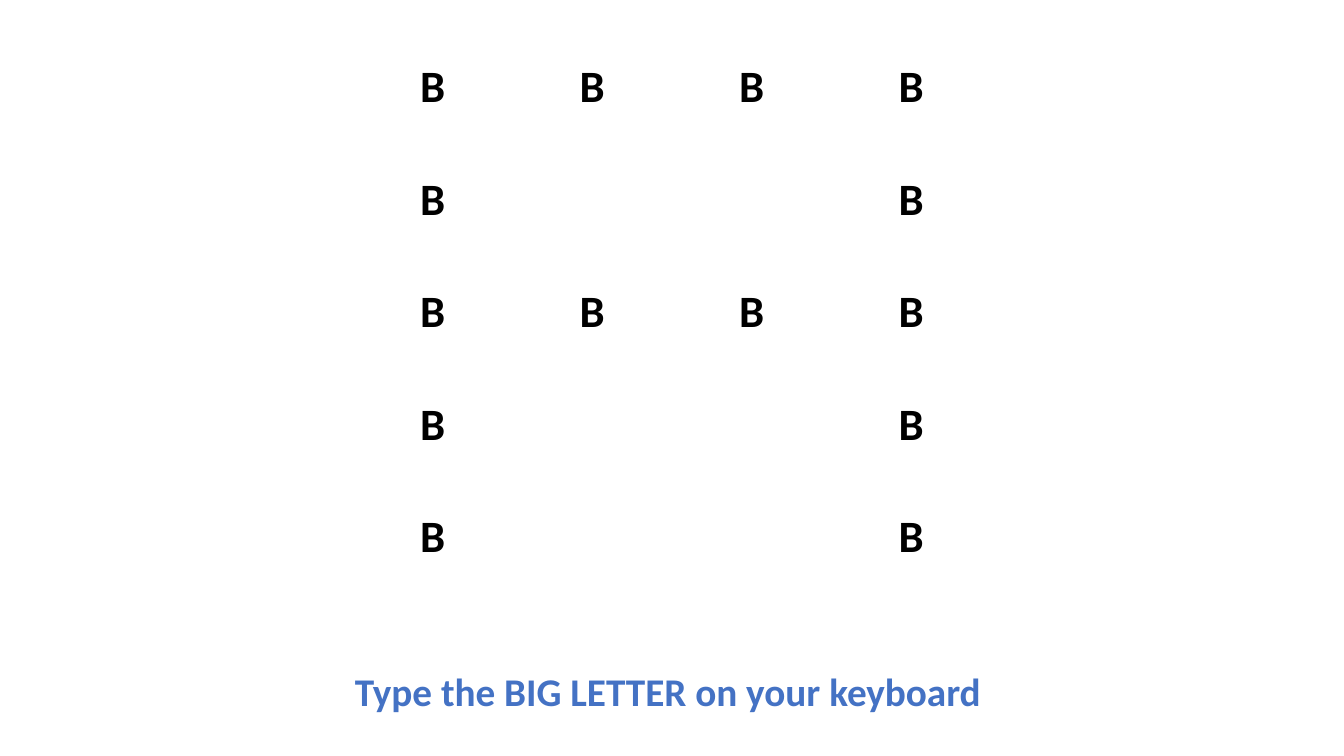
from pptx import Presentation
from pptx.dml.color import RGBColor
from pptx.enum.text import MSO_ANCHOR, MSO_AUTO_SIZE, PP_ALIGN
from pptx.util import Inches, Pt

TOP = MSO_ANCHOR.TOP
GROW = MSO_AUTO_SIZE.SHAPE_TO_FIT_TEXT
LEFT, CENTER = PP_ALIGN.LEFT, PP_ALIGN.CENTER
ROWS = ["BBBB", "B  B", "BBBB", "B  B", "B  B"]


def paint(code):
    return RGBColor.from_string(code)


class Page:
    """Hold the slide and its text style."""

    def __init__(self, deck):
        self.slide = deck.slides.add_slide(deck.slide_layouts[6])
        self.face = "Calibri"

    def letter(self, frame, text, size, color, align):
        para = frame.paragraphs[0]
        para.text = text
        para.alignment = align
        font = para.font
        font.name, font.size, font.bold = self.face, Pt(size), True
        font.color.rgb = paint(color)
        return para

    def grid(self, rows, x, y, wide, high):
        count = len(rows[0])
        table = self.slide.shapes.add_table(
            len(rows), count, Inches(x), Inches(y), Inches(wide), Inches(high)
        ).table
        table.first_row = table.horz_banding = False
        for r, row in enumerate(rows):
            for c, mark in enumerate(row):
                cell = table.cell(r, c)
                cell.fill.background()
                cell.vertical_anchor = TOP
                cell.margin_left = cell.margin_right = Inches(0.07)
                cell.margin_top = cell.margin_bottom = 0
                if mark.strip():
                    para = self.letter(cell.text_frame, mark, 32, "000000", CENTER)
                    para.line_spacing = 1.07

    def label(self, text, x, y, wide, high):
        frame = self.slide.shapes.add_textbox(
            Inches(x), Inches(y), Inches(wide), Inches(high)
        ).text_frame
        frame.word_wrap = False
        frame.auto_size = GROW
        self.letter(frame, text, 28, "4472C4", LEFT)


def main():
    deck = Presentation()
    deck.slide_width, deck.slide_height = Inches(13.33), Inches(7.5)
    page = Page(deck)
    page.grid(ROWS, 3.5, 0.56, 6.33, 5.58)
    page.label("Type the BIG LETTER on your keyboard", 3.42, 6.57, 6.48, 0.57)
    deck.save("out.pptx")


if __name__ == "__main__":
    main()
